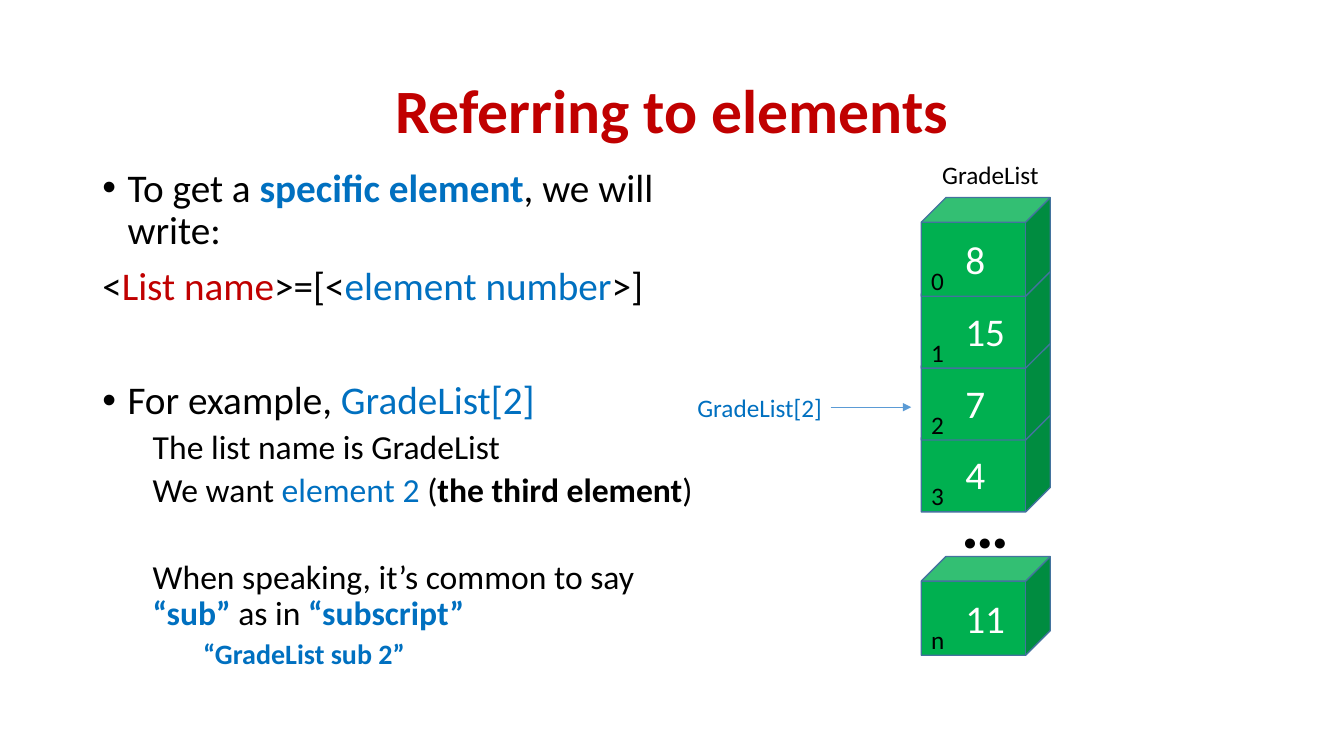
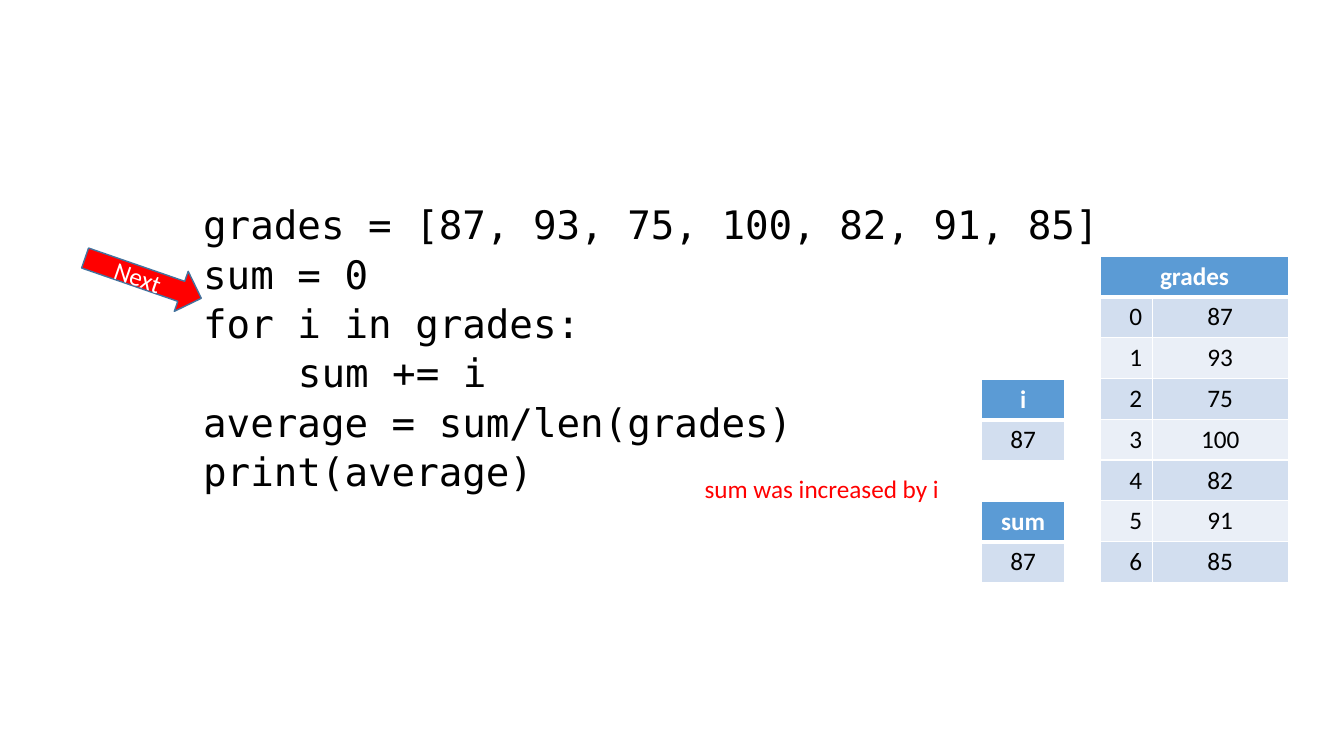
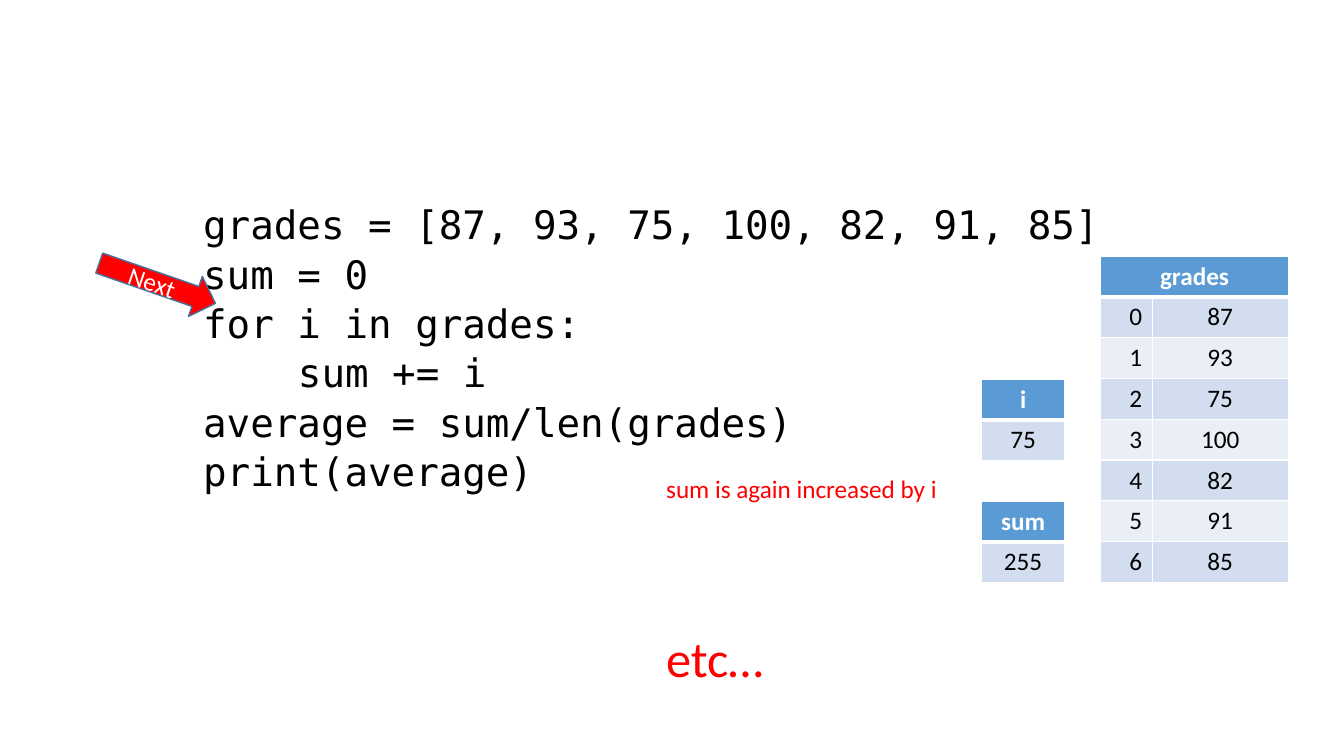
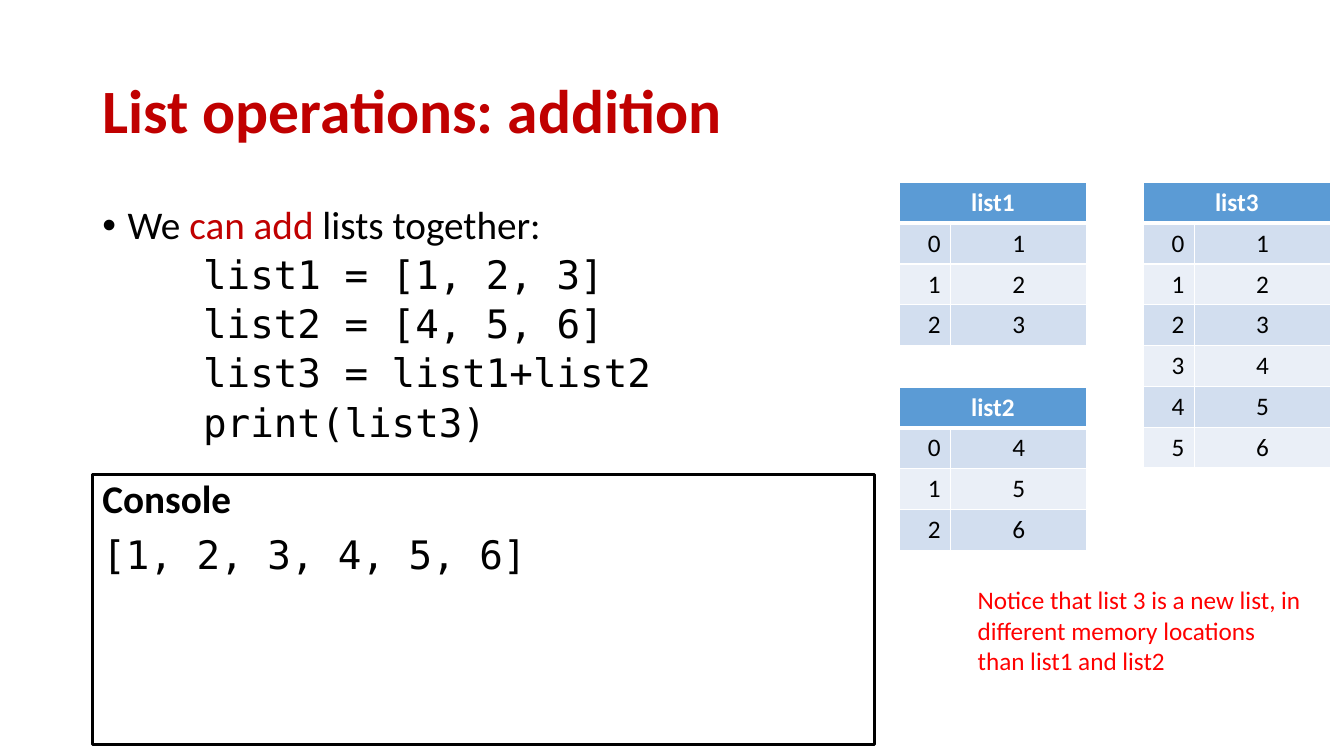
from dataclasses import dataclass

from lxml import etree
from pptx import Presentation
from pptx.dml.color import RGBColor
from pptx.enum.shapes import MSO_CONNECTOR, MSO_SHAPE
from pptx.enum.text import MSO_ANCHOR, MSO_AUTO_SIZE, PP_ALIGN
from pptx.oxml.ns import qn
from pptx.util import Inches, Pt

LEFT, CENTER, RIGHT = PP_ALIGN.LEFT, PP_ALIGN.CENTER, PP_ALIGN.RIGHT
TOP, MIDDLE = MSO_ANCHOR.TOP, MSO_ANCHOR.MIDDLE
CUBE, ARROW, RECTANGLE = MSO_SHAPE.CUBE, MSO_SHAPE.RIGHT_ARROW, MSO_SHAPE.RECTANGLE
STRAIGHT = MSO_CONNECTOR.STRAIGHT
FIT_SHAPE = MSO_AUTO_SIZE.SHAPE_TO_FIT_TEXT
SLIDE_WIDTH, SLIDE_HEIGHT = Inches(13.33), Inches(7.5)


@dataclass(frozen=True)
class Theme:
    """Colours, fonts and type sizes of the deck."""
    black: str = "000000"
    white: str = "FFFFFF"
    crimson: str = "C00000"
    blue: str = "0070C0"
    red: str = "FF0000"
    green: str = "00B050"
    outline: str = "43739E"
    accent: str = "5B9BD5"
    bands: tuple = ("D2DEEF", "EAEFF7")
    sans: str = "Calibri"
    mono: str = "DejaVu Sans Mono"
    dots: int = 48
    title: int = 44
    large: int = 36
    body: int = 28
    detail: int = 24
    quote: int = 20
    label: int = 18


THEME = Theme()


@dataclass(frozen=True)
class Box:
    """A rectangle in percent of the slide's width and height."""
    left: float
    top: float
    width: float
    height: float

    def inner(self, left, top, width, height):
        """Return an inner box given in percent of this one."""
        return Box(self.left + self.width * left / 100,
                   self.top + self.height * top / 100,
                   self.width * width / 100, self.height * height / 100)

    def place(self):
        """Return left, top, width and height as slide lengths."""
        return (across(self.left), down(self.top),
                across(self.width), down(self.height))


TITLE_BOX = Box(6.88, 5.33, 86.25, 19.33)
BODY_BOX = Box(6.88, 26.6, 86.25, 63.5)
ROW_HEIGHT = 5.4
INDEX_WIDTH, VALUE_WIDTH, VARIABLE_WIDTH = 3.83, 10.13, 6.15
VARIABLE_LEFT = 73.05


def across(percent):
    """Convert a share of the slide's width."""
    return round(SLIDE_WIDTH * percent / 100)


def down(percent):
    """Convert a share of the slide's height."""
    return round(SLIDE_HEIGHT * percent / 100)


def rgb(color):
    """Turn a hex string into a colour."""
    return RGBColor.from_string(color)


def write(frame, *spans, font=THEME.sans, size=THEME.label, color=THEME.black,
          bold=False, align=LEFT, level=0, indent=0, bullet=False,
          before=0, spacing=1.0):
    """Add a paragraph; a span is text or (text, colour, bold)."""
    para = frame.paragraphs[0]
    if para.runs:
        para = frame.add_paragraph()
    para.alignment, para.level = align, level
    para.line_spacing, para.space_before = spacing, Pt(before)
    properties = para._p.get_or_add_pPr()
    properties.set("marL", str(Inches(indent)))
    properties.set("indent", str(Inches(-0.25 if bullet else 0)))
    if bullet:
        etree.SubElement(properties, qn("a:buFont"), typeface="Arial")
        etree.SubElement(properties, qn("a:buChar"), char="•")
    for item in spans:
        text, tint, strong = (item, color, bold) if isinstance(item, str) else item
        span = para.add_run()
        span.text = text
        span.font.name, span.font.size = font, Pt(size)
        span.font.bold, span.font.color.rgb = strong, rgb(tint)


def write_point(frame, *spans, **options):
    """Add a top-level body paragraph."""
    write(frame, *spans, **{"size": THEME.body, "before": 10, "spacing": 0.9, **options})


def write_detail(frame, *spans, **options):
    """Add an indented body paragraph."""
    write(frame, *spans, **{"size": THEME.detail, "level": 1, "indent": 0.5,
                            "before": 5, "spacing": 0.9, **options})


def write_code(frame, *lines):
    """Add lines of code; a line may be (text, indent steps)."""
    for line in lines:
        text, steps = (line, 0) if isinstance(line, str) else line
        write_detail(frame, text, font=THEME.mono, size=THEME.body, level=2,
                     indent=1 + 0.94 * steps)


def add_text(page, box, anchor=TOP, wrap=True):
    """Add a text box and return its frame."""
    frame = page.shapes.add_textbox(*box.place()).text_frame
    frame.word_wrap, frame.vertical_anchor = wrap, anchor
    return frame


def add_label(page, box, text, **options):
    """Add a one-line label that fits its text."""
    frame = add_text(page, box, wrap=False)
    frame.auto_size = FIT_SHAPE
    write(frame, text, **options)


def add_figure(page, kind, box, fill=None, line=THEME.outline, weight=1):
    """Add a flat preset shape."""
    figure = page.shapes.add_shape(kind, *box.place())
    figure.shadow.inherit = False
    if fill:
        figure.fill.solid()
        figure.fill.fore_color.rgb = rgb(fill)
    else:
        figure.fill.background()
    figure.line.color.rgb, figure.line.width = rgb(line), Pt(weight)
    return figure


def add_title(page, text, align=LEFT):
    """Add the slide title."""
    write(add_text(page, TITLE_BOX, MIDDLE), text, size=THEME.title,
          color=THEME.crimson, bold=True, align=align, spacing=0.9)


def style_cell(cell, fill, top=1, bottom=1):
    """Give a cell its fill and white borders, widths in points."""
    properties = cell._tc.get_or_add_tcPr()
    for side, width in (("L", 1), ("R", 1), ("T", top), ("B", bottom)):
        edge = etree.SubElement(properties, qn("a:ln" + side), w=str(Pt(width)))
        paint = etree.SubElement(edge, qn("a:solidFill"))
        etree.SubElement(paint, qn("a:srgbClr"), val=THEME.white)
    cell.fill.solid()
    cell.fill.fore_color.rgb = rgb(fill)


def add_memory_table(page, left, top, name, rows, widths):
    """Add a table with one heading over banded rows."""
    box = Box(left, top, sum(widths), ROW_HEIGHT * (len(rows) + 1))
    table = page.shapes.add_table(len(rows) + 1, len(widths), *box.place()).table
    for column, width in zip(table.columns, widths):
        column.width = across(width)
    for row in table.rows:
        row.height = down(ROW_HEIGHT)
    for number in range(len(widths)):
        style_cell(table.cell(0, number), THEME.accent, bottom=3)
    heading = table.cell(0, 0)
    if len(widths) > 1:
        heading.merge(table.cell(0, len(widths) - 1))
    write(heading.text_frame, name, color=THEME.white, bold=True, align=CENTER)
    for line, values in enumerate(rows):
        for number, value in enumerate(values):
            cell = table.cell(line + 1, number)
            style_cell(cell, THEME.bands[line % 2], top=1 if line else 3)
            is_index = number < len(widths) - 1
            write(cell.text_frame, str(value), align=RIGHT if is_index else CENTER)


def add_list_table(page, left, top, name, values):
    """Show a list with its element numbers."""
    add_memory_table(page, left, top, name, list(enumerate(values)),
                     (INDEX_WIDTH, VALUE_WIDTH))


def add_variable(page, top, name, value):
    """Show one variable and its value."""
    add_memory_table(page, VARIABLE_LEFT, top, name, [(value,)], (VARIABLE_WIDTH,))


def add_cube_stack(page, box):
    """Draw the list as numbered cubes, the last one set apart."""
    add_label(page, box.inner(8.5, 0, 91.5, 8), "GradeList")
    cells = [(8.65 + 14.35 * number, str(number), value)
             for number, value in enumerate(("8", "15", "7", "4"))]
    cells.append((80.3, "n", "11"))
    for top, _, _ in reversed(cells):
        add_figure(page, CUBE, box.inner(0, top, 100, 19.7), THEME.green)
    add_label(page, box.inner(23.5, 64.4, 53, 18.3), "…", size=THEME.dots, bold=True)
    for top, index, value in cells:
        add_label(page, box.inner(0, top + 12.5, 26, 8), index)
        add_label(page, box.inner(26.5, top + 6.5, 15.6 * (1 + len(value)), 11.5),
                  value, size=THEME.body, color=THEME.white)


def add_pointer(page, box, text):
    """Draw a label with an arrow to its right."""
    write(add_text(page, box.inner(0, 0, 85, 100)), text, color=THEME.blue)
    left, top, width, height = box.inner(64, 50, 36, 0).place()
    arrow = page.shapes.add_connector(STRAIGHT, left, top, left + width, top + height)
    arrow.line.color.rgb, arrow.line.width = rgb(THEME.accent), Pt(0.5)
    etree.SubElement(arrow.line._get_or_add_ln(), qn("a:tailEnd"), type="triangle")
    etree.SubElement(arrow._element.spPr, qn("a:effectLst"))


def add_next_arrow(page, box):
    """Draw the tilted arrow that marks the next line of code."""
    arrow = add_figure(page, ARROW, box, THEME.red)
    arrow.rotation = 19.1
    arrow.text_frame.vertical_anchor = MIDDLE
    write(arrow.text_frame, "Next", color=THEME.white, align=CENTER)


def add_console(page, box, output):
    """Draw the framed console with its output."""
    console = add_figure(page, RECTANGLE, box, line=THEME.black, weight=2)
    frame = console.text_frame
    frame.word_wrap, frame.vertical_anchor = True, TOP
    write_point(frame, "Console", bold=True)
    write_point(frame, output, font=THEME.mono)


def build_reference_slide(page):
    """Explain how an element is referred to."""
    add_title(page, "Referring to elements", CENTER)
    blue, black = THEME.blue, THEME.black
    frame = add_text(page, Box(6.88, 21.6, 46.28, 75.5))
    write_point(frame, "To get a ", ("specific element", blue, True),
                ", we will write:", bullet=True, indent=0.25)
    write_point(frame, "<", ("List name", THEME.crimson, False), ">=[<",
                ("element number", blue, False), ">]")
    write_point(frame, "For example, ", ("GradeList[2]", blue, False),
                bullet=True, indent=0.25, before=51)
    write_detail(frame, "The list name is GradeList")
    write_detail(frame, "We want ", ("element 2", blue, False), " (",
                 ("the third element", black, True), ")")
    write_detail(frame, "When speaking, it’s common to say ", ("“sub” ", blue, True),
                 "as in ", ("“subscript”", blue, True), before=36.4)
    write_detail(frame, "“GradeList sub 2”", size=THEME.quote, color=blue,
                 bold=True, level=2, indent=1)
    add_cube_stack(page, Box(68.55, 20.4, 9.6, 66.27))
    add_pointer(page, Box(51.15, 51.2, 16.65, 5.33), "GradeList[2]")


def build_loop_slide(page, i, total, arrow_left, arrow_top, note, note_left, closing=None):
    """Show one step of the loop that adds up the grades."""
    grades = [87, 93, 75, 100, 82, 91, 85]
    write_code(add_text(page, BODY_BOX), f"grades = {grades}", "sum = 0",
               "for i in grades:", ("sum += i", 1),
               "average = sum/len(grades)", "print(average)")
    add_list_table(page, 81.9, 33.87, "grades", grades)
    add_variable(page, 66.27, "sum", total)
    add_next_arrow(page, Box(arrow_left, arrow_top, 9.15, 5.6))
    add_variable(page, 50.13, "i", i)
    frame = add_text(page, Box(note_left, 62, VARIABLE_LEFT - note_left,
                               29.6 if closing else 5.33))
    write(frame, note, color=THEME.red)
    if closing:
        write(frame, closing, size=THEME.large, color=THEME.red, before=88)


def build_addition_slide(page):
    """Show that adding two lists makes a third."""
    add_title(page, "List operations: addition")
    first, second = [1, 2, 3], [4, 5, 6]
    frame = add_text(page, BODY_BOX)
    write_point(frame, "We ", ("can add ", THEME.crimson, False), "lists together:",
                bullet=True, indent=0.25)
    write_code(frame, f"list1 = {first}", f"list2 = {second}",
               "list3 = list1+list2", "print(list3)")
    add_console(page, Box(6.88, 62.8, 58.2, 35.73), str(first + second))
    add_list_table(page, 85.05, 24.13, "list3", first + second)
    add_list_table(page, 66.9, 24.13, "list1", first)
    add_list_table(page, 66.9, 51.2, "list2", second)
    write(add_text(page, Box(72, 76.67, 26.03, 13.47)),
          "Notice that list 3 is a new list, in different memory locations "
          "than list1 and list2", color=THEME.red)


def main():
    """Build and save the deck."""
    deck = Presentation()
    deck.slide_width, deck.slide_height = SLIDE_WIDTH, SLIDE_HEIGHT
    blank = deck.slide_layouts[6]
    build_reference_slide(deck.slides.add_slide(blank))
    build_loop_slide(deck.slides.add_slide(blank), 87, 87, 6.08, 34,
                     "sum was increased by i", 51.68)
    build_loop_slide(deck.slides.add_slide(blank), 75, 255, 7.13, 34.67,
                     "sum is again increased by i", 48.83, closing="etc…")
    build_addition_slide(deck.slides.add_slide(blank))
    deck.save("out.pptx")


main()
